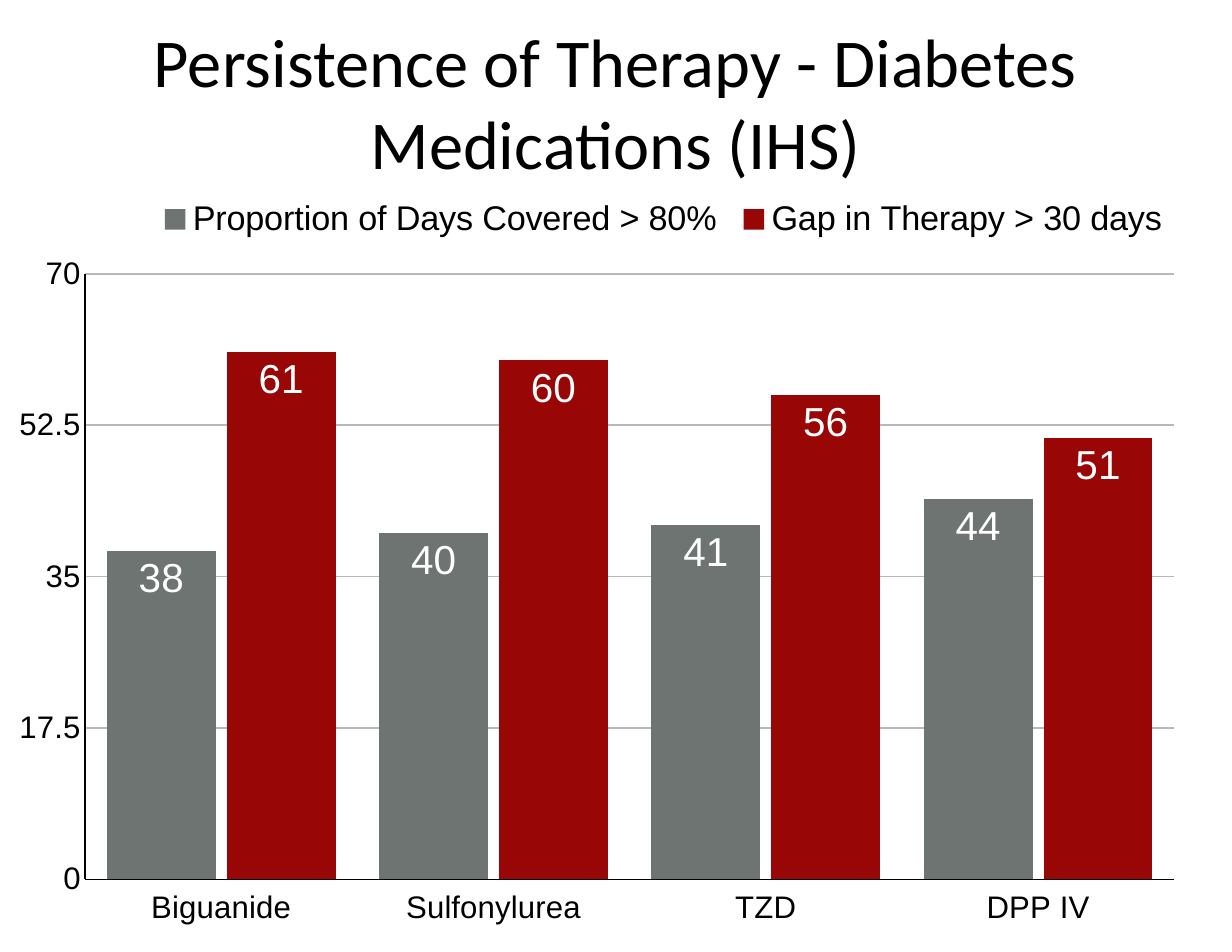
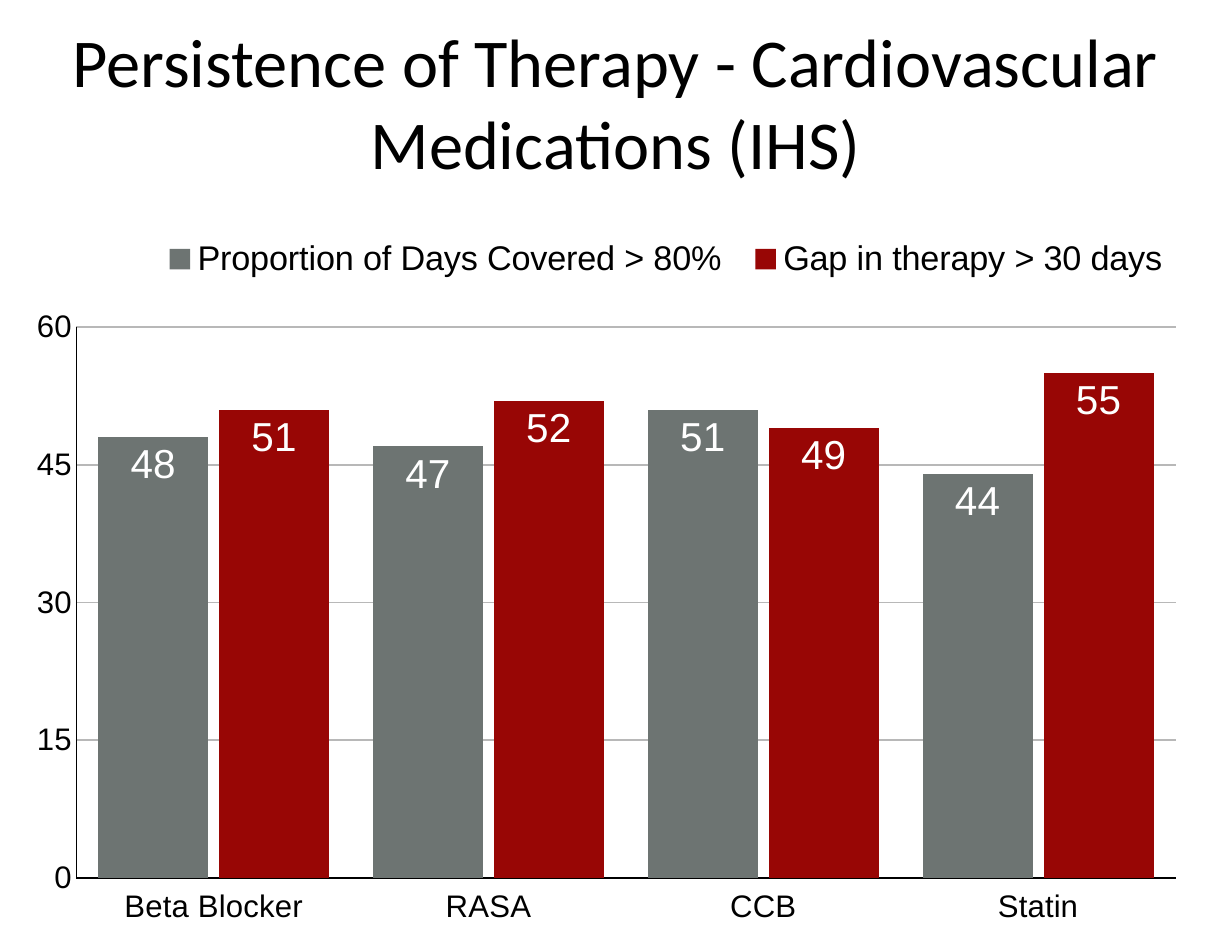
from lxml.etree import SubElement
from pptx import Presentation
from pptx.chart.data import CategoryChartData
from pptx.dml.color import RGBColor
from pptx.enum.chart import (
    XL_CHART_TYPE as ChartType,
    XL_LABEL_POSITION as LabelPosition,
    XL_LEGEND_POSITION as LegendPosition,
    XL_TICK_LABEL_POSITION as TickLabelPosition,
    XL_TICK_MARK as TickMark,
)
from pptx.enum.text import MSO_ANCHOR as Anchor, MSO_AUTO_SIZE as AutoSize, PP_ALIGN as Align
from pptx.oxml.ns import qn
from pptx.util import Cm, Pt

COLORS = {
    "text": "000000",
    "label": "FFFFFF",
    "grid": "B8B8B8",
    "covered": "6D7472",
    "gap": "980605",
}
SERIES_COLORS = ("covered", "gap")

TITLE_BOX = {"left": Cm(0.53), "top": Cm(1.02), "width": Cm(26.87), "height": Cm(2.54)}
TITLE_FRAME = {
    "auto_size": AutoSize.NONE,
    "word_wrap": True,
    "vertical_anchor": Anchor.MIDDLE,
    "margin_left": Cm(0.28),
    "margin_right": Cm(0.28),
    "margin_top": Cm(0.15),
    "margin_bottom": Cm(0.15),
}

DIABETES = {
    "title": "Persistence of Therapy - Diabetes Medications (IHS)",
    "box": (0.43, 4.39, 26.82, 16.69),
    "plot": (0.056, 0.109, 0.921, 0.823),
    "legend": (0.11, 0, 0.87, 0.07),
    "categories": ("Biguanide", "Sulfonylurea", "TZD", "DPP IV"),
    "series": {
        "Proportion of Days Covered > 80%": (38, 40, 41, 44),
        "Gap in Therapy > 30 days": (61, 60, 56, 51),
    },
    "scale": {"minimum_scale": 0, "maximum_scale": 70, "major_unit": 17.5},
}
CARDIOVASCULAR = {
    "title": "Persistence of Therapy - Cardiovascular Medications (IHS)",
    "box": (0.66, 5.33, 26.75, 15.7),
    "plot": (0.04, 0.133, 0.932, 0.796),
    "legend": (0.1, 0, 0.88, 0.07),
    "categories": ("Beta Blocker", "RASA", "CCB", "Statin"),
    "series": {
        "Proportion of Days Covered > 80%": (48, 47, 51, 44),
        "Gap in therapy > 30 days": (51, 52, 49, 55),
    },
    "scale": {"minimum_scale": 0, "maximum_scale": 60, "major_unit": 15},
}


def set_attributes(target, values):
    for name, value in values.items():
        setattr(target, name, value)


def color(name):
    return RGBColor.from_string(COLORS[name])


def format_font(font, size, name="Arial", color_name="text"):
    set_attributes(font, {"size": Pt(size), "name": name, "bold": False})
    font.color.rgb = color(color_name)


def format_line(line, color_name):
    line.color.rgb = color(color_name)
    line.width = Pt(1)


def set_layout(element, index, bounds, inner=False):
    """Place a chart part by fractions of the chart's size: x, y, width, height."""
    for layout in element.findall(qn("c:layout")):
        element.remove(layout)
    layout = SubElement(element, qn("c:layout"))
    element.insert(index, layout)
    manual = SubElement(layout, qn("c:manualLayout"))
    settings = [("layoutTarget", "inner")] if inner else []
    settings += [("xMode", "edge"), ("yMode", "edge"), *zip("xywh", bounds)]
    for tag, value in settings:
        SubElement(manual, qn(f"c:{tag}")).set("val", str(value))


def add_title(slide, text):
    title = slide.shapes.title
    set_attributes(title, TITLE_BOX)
    frame = title.text_frame
    frame.text = text
    set_attributes(frame, TITLE_FRAME)
    paragraph = frame.paragraphs[0]
    paragraph.alignment = Align.CENTER
    format_font(paragraph.runs[0].font, 44, "Calibri")


def format_axis(axis):
    set_attributes(axis, {"major_tick_mark": TickMark.NONE, "minor_tick_mark": TickMark.NONE})
    format_font(axis.tick_labels.font, 20)
    format_line(axis.format.line, "text")


def format_axes(chart, scale):
    for axis in (chart.category_axis, chart.value_axis):
        format_axis(axis)
    chart.category_axis.tick_label_position = TickLabelPosition.LOW
    set_attributes(chart.value_axis, scale)
    chart.value_axis.has_major_gridlines = True
    format_line(chart.value_axis.major_gridlines.format.line, "grid")


def format_series(series, color_name):
    series.format.fill.solid()
    series.format.fill.fore_color.rgb = color(color_name)
    labels = series.data_labels
    set_attributes(labels, {
        "show_value": True,
        "position": LabelPosition.INSIDE_END,
        "number_format": "#,##0",
        "number_format_is_linked": False,
    })
    format_font(labels.font, 26, color_name="label")


def add_legend(chart, bounds):
    chart.has_legend = True
    legend = chart.legend
    set_attributes(legend, {"position": LegendPosition.TOP, "include_in_layout": True})
    format_font(legend.font, 22)
    set_layout(legend._element, 1, bounds)


def add_column_chart(slide, content):
    data = CategoryChartData()
    data.categories = content["categories"]
    for name, values in content["series"].items():
        data.add_series(name, values)
    box = [Cm(length) for length in content["box"]]
    chart = slide.shapes.add_chart(ChartType.COLUMN_CLUSTERED, *box, data).chart
    chart.has_title = False
    format_font(chart.font, 10, "Calibri")

    plot = chart.plots[0]
    set_attributes(plot, {"gap_width": 40, "overlap": -10, "vary_by_categories": False})
    for series, color_name in zip(plot.series, SERIES_COLORS):
        format_series(series, color_name)
    format_axes(chart, content["scale"])
    add_legend(chart, content["legend"])
    set_layout(chart._chartSpace.chart.plotArea, 0, content["plot"], inner=True)


def main():
    presentation = Presentation()
    set_attributes(presentation, {"slide_width": Cm(27.94), "slide_height": Cm(21.59)})
    title_only = presentation.slide_layouts[5]
    for content in (DIABETES, CARDIOVASCULAR):
        slide = presentation.slides.add_slide(title_only)
        add_title(slide, content["title"])
        add_column_chart(slide, content)
    presentation.save("out.pptx")


if __name__ == "__main__":
    main()
